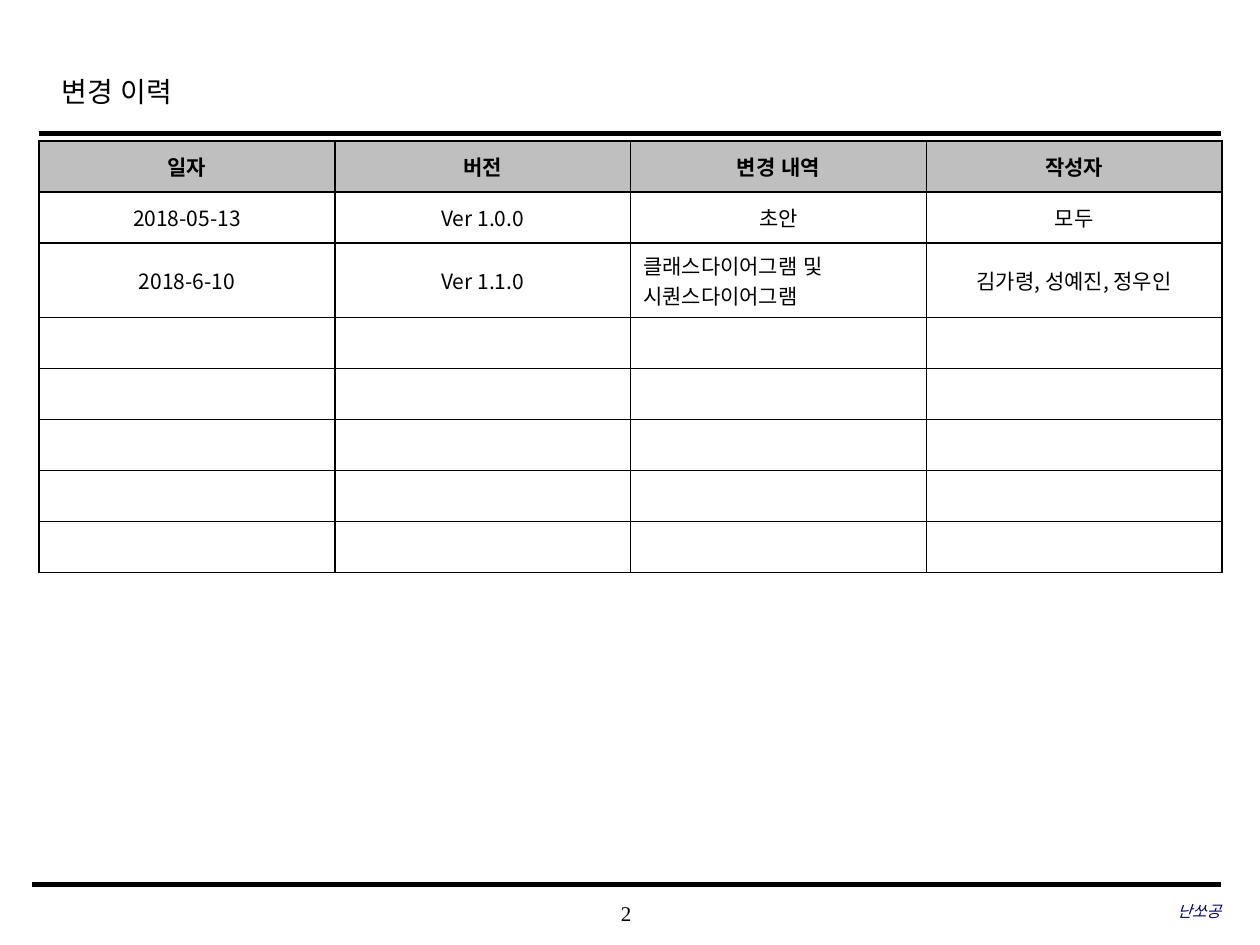
from lxml.etree import SubElement
from pptx import Presentation
from pptx.dml.color import RGBColor
from pptx.enum.lang import MSO_LANGUAGE_ID
from pptx.enum.shapes import MSO_CONNECTOR
from pptx.enum.text import MSO_ANCHOR, PP_ALIGN
from pptx.oxml.ns import qn
from pptx.util import Inches, Pt

BLACK, NAVY, GRAY, WHITE = "000000", "000066", "BFBFBF", "FFFFFF"
SERIF, KOREAN = "Times New Roman", "Noto Sans CJK KR"

HEADERS = ["일자", "버전", "변경 내역", "작성자"]
CHANGES = [
    ["2018-05-13", "Ver 1.0.0", "초안", "모두"],
    ["2018-6-10", "Ver 1.1.0", "클래스다이어그램 및 시퀀스다이어그램", "김가령, 성예진, 정우인"],
]
EMPTY_ROWS = 5
TWO_LINE_ROW, TWO_LINE_HEIGHT = 2, 0.59
DESCRIPTION_COLUMN = 2


def color(value):
    return RGBColor.from_string(value)


class SlideBuilder:
    def __init__(self, slide):
        self.slide = slide

    def style(self, p, size, font=SERIF, ink=BLACK, bold=False, italic=False):
        """Set the paragraph font, with the Korean face for Hangul."""
        f = p.font
        f.size, f.name, f.bold, f.italic = Pt(size), font, bold, italic
        f.color.rgb = color(ink)
        f.language_id = MSO_LANGUAGE_ID.KOREAN
        props = p._p.get_or_add_pPr().find(qn("a:defRPr"))
        SubElement(props, qn("a:ea"), typeface=KOREAN)

    def text(self, x, y, w, h, content, size, align=PP_ALIGN.LEFT,
             anchor=MSO_ANCHOR.MIDDLE, inset=(0, 0), spacing=None, **font):
        sp = self.slide.shapes.add_textbox(Inches(x), Inches(y), Inches(w), Inches(h))
        tf = sp.text_frame
        tf.word_wrap = True
        tf.vertical_anchor = anchor
        tf.margin_left = tf.margin_right = Inches(inset[0])
        tf.margin_top = tf.margin_bottom = Inches(inset[1])
        p = tf.paragraphs[0]
        p.text, p.alignment, p.line_spacing = content, align, spacing
        self.style(p, size, **font)

    def rule(self, x1, x2, y, width):
        """Draw a horizontal black line."""
        line = self.slide.shapes.add_connector(
            MSO_CONNECTOR.STRAIGHT, Inches(x1), Inches(y), Inches(x2), Inches(y))
        line.line.color.rgb = color(BLACK)
        line.line.width = Pt(width)
        SubElement(line._element.spPr, qn("a:effectLst"))

    def borders(self, cell):
        props = cell._tc.get_or_add_tcPr()
        for side in ("lnL", "lnR", "lnT", "lnB"):
            ln = SubElement(props, qn(f"a:{side}"), w=str(Pt(1)))
            fill = SubElement(ln, qn("a:solidFill"))
            SubElement(fill, qn("a:srgbClr"), val=BLACK)

    def cell(self, cell, content, fill, align, bold):
        self.borders(cell)
        cell.fill.solid()
        cell.fill.fore_color.rgb = color(fill)
        cell.vertical_anchor = MSO_ANCHOR.MIDDLE
        p = cell.text_frame.paragraphs[0]
        p.alignment = align
        self.style(p, 12, font=KOREAN, bold=bold)
        if content:
            p.text = content
        else:
            SubElement(p._p, qn("a:endParaRPr"), sz="1200")

    def table(self, x, y, w, h, rows):
        """Add the history table; h is its height before the two-line row grows."""
        table = self.slide.shapes.add_table(
            len(rows), len(rows[0]), Inches(x), Inches(y), Inches(w), Inches(h)).table
        table.rows[TWO_LINE_ROW].height = Inches(TWO_LINE_HEIGHT)
        for i, row in enumerate(rows):
            for j, content in enumerate(row):
                wraps = (i, j) == (TWO_LINE_ROW, DESCRIPTION_COLUMN)
                self.cell(table.cell(i, j), content, GRAY if i == 0 else WHITE,
                          PP_ALIGN.LEFT if wraps else PP_ALIGN.CENTER, i == 0)


def main():
    prs = Presentation()
    prs.slide_width, prs.slide_height = Inches(10), Inches(7.5)
    s = SlideBuilder(prs.slides.add_slide(prs.slide_layouts[6]))

    s.text(3.93, 7.08, 2.08, 0.33, "2", 12, PP_ALIGN.CENTER)
    s.rule(0.31, 9.69, 1.06, 2.5)
    s.rule(0.25, 9.69, 7.02, 3)
    s.text(0.39, 0.49, 7.55, 0.5, "변경 이력", 16, anchor=MSO_ANCHOR.TOP,
           inset=(0.1, 0.05), spacing=1.2)
    s.text(6.63, 7.07, 3.06, 0.33, "난쏘공", 9, PP_ALIGN.RIGHT, ink=NAVY, italic=True)
    blank = [""] * len(HEADERS)
    s.table(0.31, 1.12, 9.39, 3.24, [HEADERS, *CHANGES, *[blank] * EMPTY_ROWS])

    prs.save("out.pptx")


if __name__ == "__main__":
    main()
